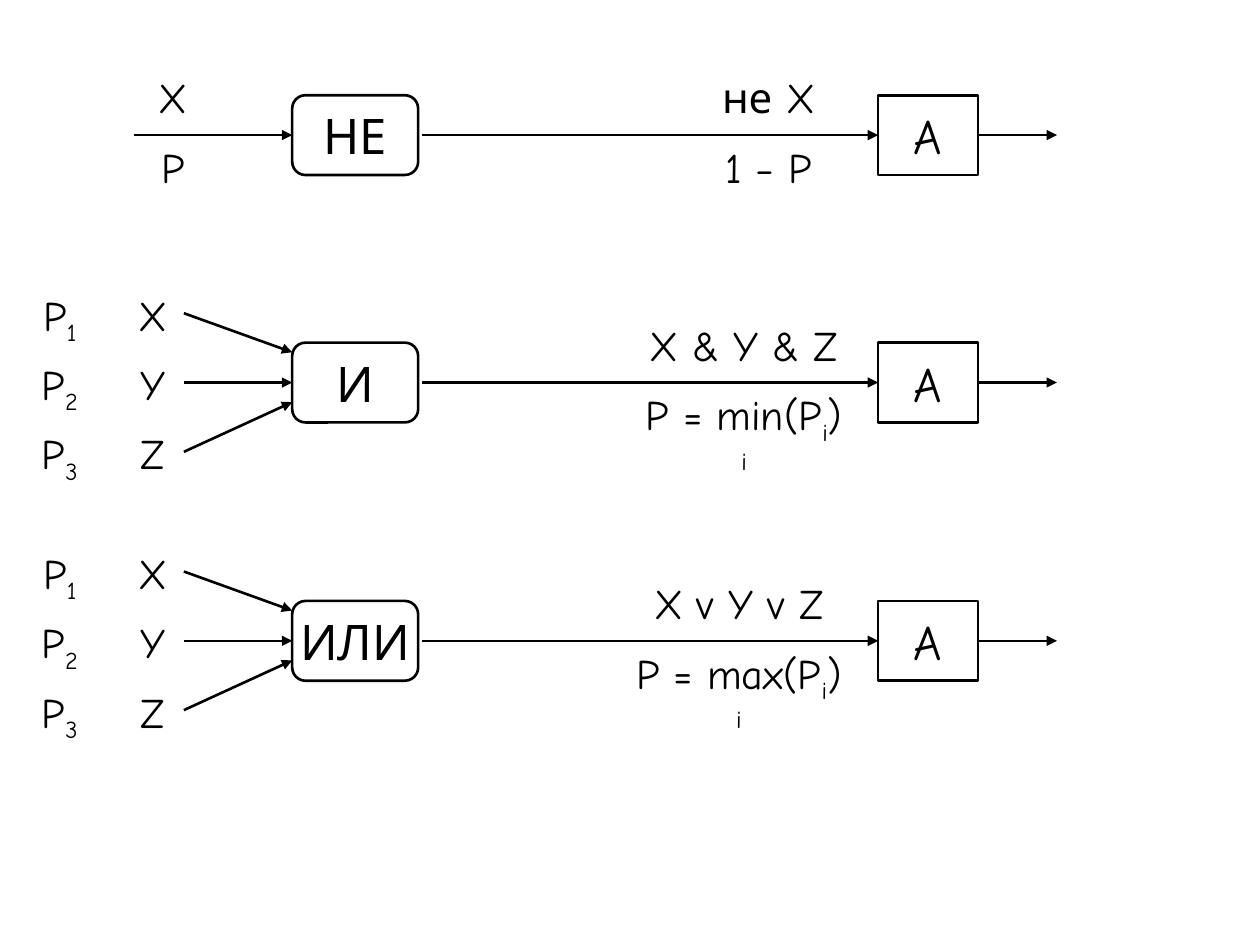
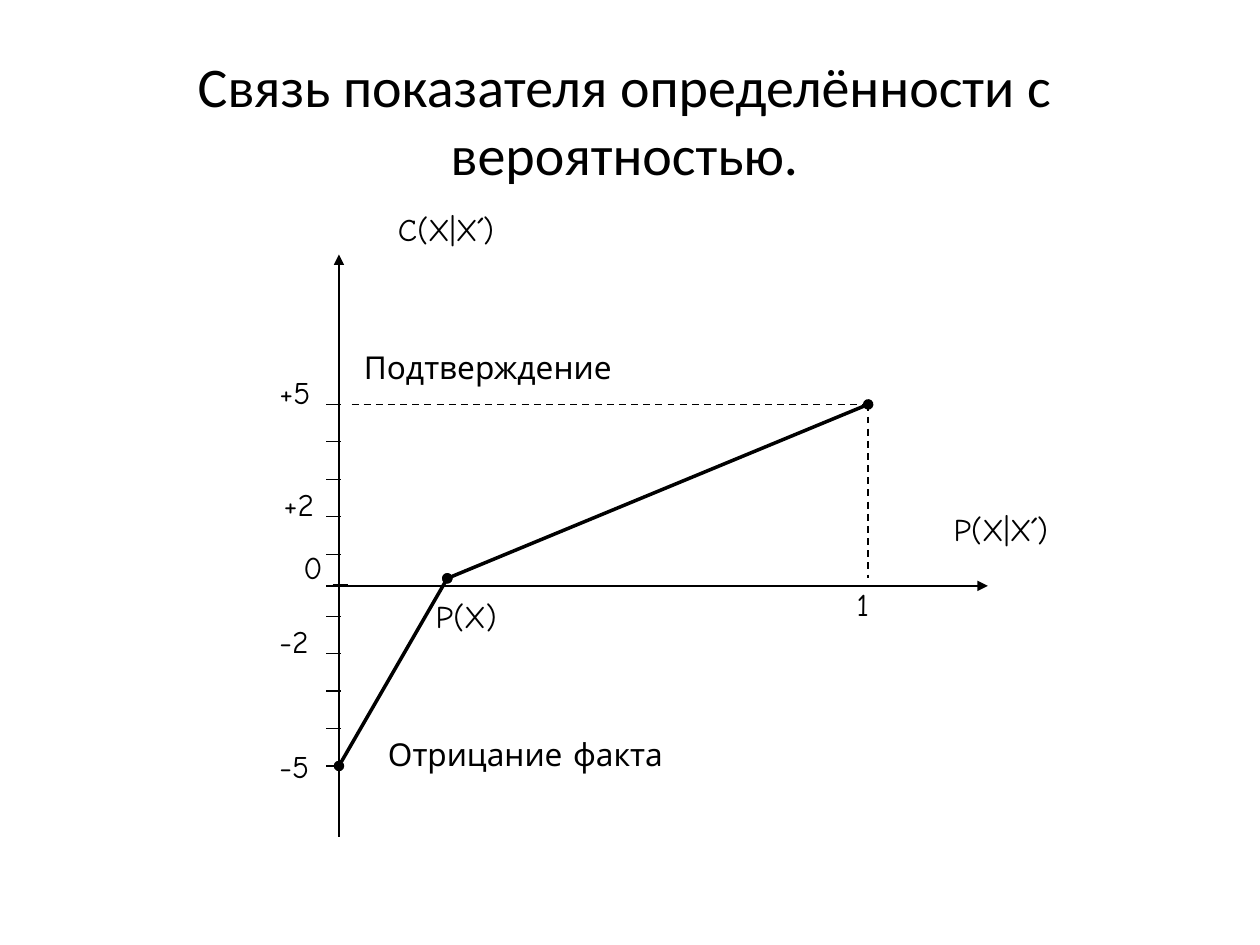
from dataclasses import dataclass

import pptx
import pptx.dml.color
import pptx.enum.dml
import pptx.enum.shapes
import pptx.enum.text
import pptx.oxml
import pptx.oxml.ns
import pptx.util

Pt = pptx.util.Pt
SHAPE = pptx.enum.shapes.MSO_SHAPE
ALIGN = pptx.enum.text.PP_ALIGN
ANCHOR = pptx.enum.text.MSO_ANCHOR
AUTO = pptx.enum.text.MSO_AUTO_SIZE
DASH = pptx.enum.dml.MSO_LINE.DASH

COLORS = {"ink": "000000"}
BODY_FONT = "Comic Neue"
TITLE_FONT = "Calibri"


@dataclass(frozen=True)
class Run:
    text: str
    size: float = 24
    sub: bool = False
    font: str = BODY_FONT


@dataclass(frozen=True)
class Label:
    x: float
    y: float
    w: float
    h: float
    paras: tuple
    align: ALIGN = ALIGN.CENTER


@dataclass(frozen=True)
class Line:
    x1: float
    y1: float
    x2: float
    y2: float
    width: float = 1.5
    head: str = ""
    tail: str = ""
    dashed: bool = False


@dataclass(frozen=True)
class Gate:
    name: str
    y: float
    inputs: tuple
    out_x: float
    out_w: float
    result: tuple
    certainty: tuple


def ink() -> pptx.dml.color.RGBColor:
    return pptx.dml.color.RGBColor.from_string(COLORS["ink"])


def write(tf, paras: tuple, align: ALIGN) -> None:
    for i, runs in enumerate(paras):
        p = tf.add_paragraph() if i else tf.paragraphs[0]
        p.alignment = align
        p.space_before = Pt(0)
        for run in runs:
            r = p.add_run()
            r.text = run.text
            r.font.size = Pt(run.size)
            r.font.name = run.font
            r.font.color.rgb = ink()
            if run.sub:
                r.font._element.set("baseline", "-25000")


def add_label(s, label: Label) -> None:
    sp = s.shapes.add_textbox(Pt(label.x), Pt(label.y), Pt(label.w), Pt(label.h))
    tf = sp.text_frame
    tf.word_wrap = True
    tf.auto_size = AUTO.SHAPE_TO_FIT_TEXT
    write(tf, label.paras, label.align)


def add_box(s, kind: SHAPE, x: float, y: float, w: float, text: str):
    sp = s.shapes.add_shape(kind, Pt(x), Pt(y - BOX_H / 2), Pt(w), Pt(BOX_H))
    sp.shadow.inherit = False
    sp.fill.background()
    sp.line.color.rgb = ink()
    sp.line.width = Pt(1.5)
    tf = sp.text_frame
    tf.word_wrap = False
    tf.vertical_anchor = ANCHOR.MIDDLE
    write(tf, ((Run(text, 28),),), ALIGN.CENTER)
    return sp


def add_line(s, line: Line, begin=None, end=None) -> None:
    cx = s.shapes.add_connector(
        pptx.enum.shapes.MSO_CONNECTOR.STRAIGHT,
        Pt(line.x1), Pt(line.y1), Pt(line.x2), Pt(line.y2))
    cx.line.color.rgb = ink()
    cx.line.width = Pt(line.width)
    if line.dashed:
        cx.line.dash_style = DASH
    ln = cx.line._get_or_add_ln()
    for tag, kind in (("a:headEnd", line.head), ("a:tailEnd", line.tail)):
        if kind:
            mark = pptx.oxml.parse_xml(f"<{tag} {pptx.oxml.ns.nsdecls('a')}/>")
            mark.set("type", kind)
            ln.append(mark)
    cx._element.spPr.append(
        pptx.oxml.parse_xml(f"<a:effectLst {pptx.oxml.ns.nsdecls('a')}/>"))
    if begin is not None:
        cx.begin_connect(begin, 3)
    if end is not None:
        cx.end_connect(end, 1)


def arrow(x1: float, y1: float, x2: float, y2: float) -> Line:
    return Line(x1, y1, x2, y2, tail="triangle")


BOX_H = 45.6
GATE_X, GATE_W = 167, 72
ACTION_X, ACTION_W = 501.8, 57
STEP = 39.6
INPUT_ENDS = (-17.3, 0, 11.2)


def extremum(name: str) -> tuple:
    return ((Run(f"P = {name}(P"), Run("i", sub=True), Run(")")),
            (Run("i", 14),))


GATES = (
    Gate("НЕ", 77.2, (), 405.4, 67.7,
         ((Run("не X"),),), ((Run("1 − P"),),)),
    Gate("И", 218.6, ("X", "Y", "Z"), 360, 130.3,
         ((Run("X & Y & Z"),),), extremum("min")),
    Gate("ИЛИ", 366.2, ("X", "Y", "Z"), 354.2, 136.1,
         ((Run("X v Y v Z"),),), extremum("max")),
)


def add_gate(s, gate: Gate) -> None:
    y = gate.y
    box = add_box(s, SHAPE.ROUNDED_RECTANGLE, GATE_X, y, GATE_W, gate.name)
    action = add_box(s, SHAPE.RECTANGLE, ACTION_X, y, ACTION_W, "A")
    add_line(s, arrow(241.2, y, ACTION_X, y), end=action)
    add_line(s, arrow(ACTION_X + ACTION_W, y, 604, y), begin=action)
    add_label(s, Label(gate.out_x, y - STEP, gate.out_w, 36, gate.result))
    add_label(s, Label(gate.out_x, y, gate.out_w,
                       36 if len(gate.certainty) == 1 else 57, gate.certainty))
    if not gate.inputs:
        add_line(s, arrow(76.6, y, GATE_X, y), end=box)
        for text, top in (("X", y - STEP), ("P", y)):
            add_label(s, Label(82, top, 33.8, 36, ((Run(text),),)))
    for i, (name, dy) in enumerate(zip(gate.inputs, INPUT_ENDS)):
        offset = (i - 1) * STEP
        top = y - 17.3 + offset
        add_label(s, Label(70.6, top, 33.8, 36, ((Run(name),),)))
        add_label(s, Label(14.4, top, 39.6, 40,
                           ((Run("P"), Run(str(i + 1), sub=True)),)))
        add_line(s, arrow(105.1, y + offset, GATE_X, y + dy),
                 end=None if dy else box)


AXIS_X, AXIS_Y = 193.7, 334.8
TOP_Y, BOTTOM_Y = 231.1, 437.7
TICK = 21.4
CROSS = (255.6, 330.5)
CERTAIN_X = 496.1

GRAPH_LINES = (
    Line(AXIS_X, 478.1, AXIS_X, 145.4, 0.75, tail="triangle"),
    Line(186.5, AXIS_Y, 564.5, AXIS_Y, 0.75, tail="triangle"),
    Line(190.1, 334.1, 198.7, 334.1, 0.75),
    Line(AXIS_X, BOTTOM_Y, *CROSS, 2, "oval", "oval"),
    Line(*CROSS, CERTAIN_X, TOP_Y, 2, "oval", "oval"),
    Line(200.9, TOP_Y, CERTAIN_X, TOP_Y, 1, dashed=True),
    Line(CERTAIN_X, TOP_Y, CERTAIN_X, 330.5, 1, dashed=True),
)

GRAPH_LABELS = (
    ("0", 152.6, 309.6, 38.9, ALIGN.RIGHT),
    ("C(X|X´)", 166.3, 116.6, 123.1, ALIGN.RIGHT),
    ("P(X)", 241.9, 337.7, 82.1, ALIGN.LEFT),
    ("1", 482.4, 330.5, 41, ALIGN.LEFT),
    ("P(X|X´)", 537.8, 288, 123.1, ALIGN.LEFT),
    ("+2", 131.8, 273.6, 54.7, ALIGN.RIGHT),
    ("+5", 152.6, 209.5, 54.7, ALIGN.LEFT),
    ("-2", 152.6, 352.1, 48.2, ALIGN.LEFT),
    ("-5", 152.6, 423.4, 41, ALIGN.LEFT),
    ("Отрицание факта", 214.6, 416.2, 288.7, ALIGN.LEFT),
    ("Подтверждение", 200.9, 195.1, 205.9, ALIGN.LEFT),
)


def set_title(s, text: str) -> None:
    sp = s.shapes.title
    sp.left, sp.top, sp.width, sp.height = Pt(54), Pt(26), Pt(606), Pt(442)
    tf = sp.text_frame
    tf.word_wrap = True
    tf.auto_size = AUTO.NONE
    tf.vertical_anchor = ANCHOR.TOP
    write(tf, ((Run(text, 32, font=TITLE_FONT),),), ALIGN.CENTER)


def add_graph(s) -> None:
    for first in (TOP_Y, BOTTOM_Y - 4 * TICK):
        for i in range(5):
            y = first + i * TICK
            add_line(s, Line(186.5, y, 195.1, y, 0.75))
    for line in GRAPH_LINES:
        add_line(s, line)
    for text, x, y, w, align in GRAPH_LABELS:
        add_label(s, Label(x, y, w, 28.8, ((Run(text, 18),),), align))


def main() -> None:
    prs = pptx.Presentation()
    prs.slide_width, prs.slide_height = Pt(720), Pt(540)
    s = prs.slides.add_slide(prs.slide_layouts[6])
    for gate in GATES:
        add_gate(s, gate)
    s = prs.slides.add_slide(prs.slide_layouts[5])
    set_title(s, "Связь показателя определённости с вероятностью.")
    add_graph(s)
    prs.save("out.pptx")


if __name__ == "__main__":
    main()
